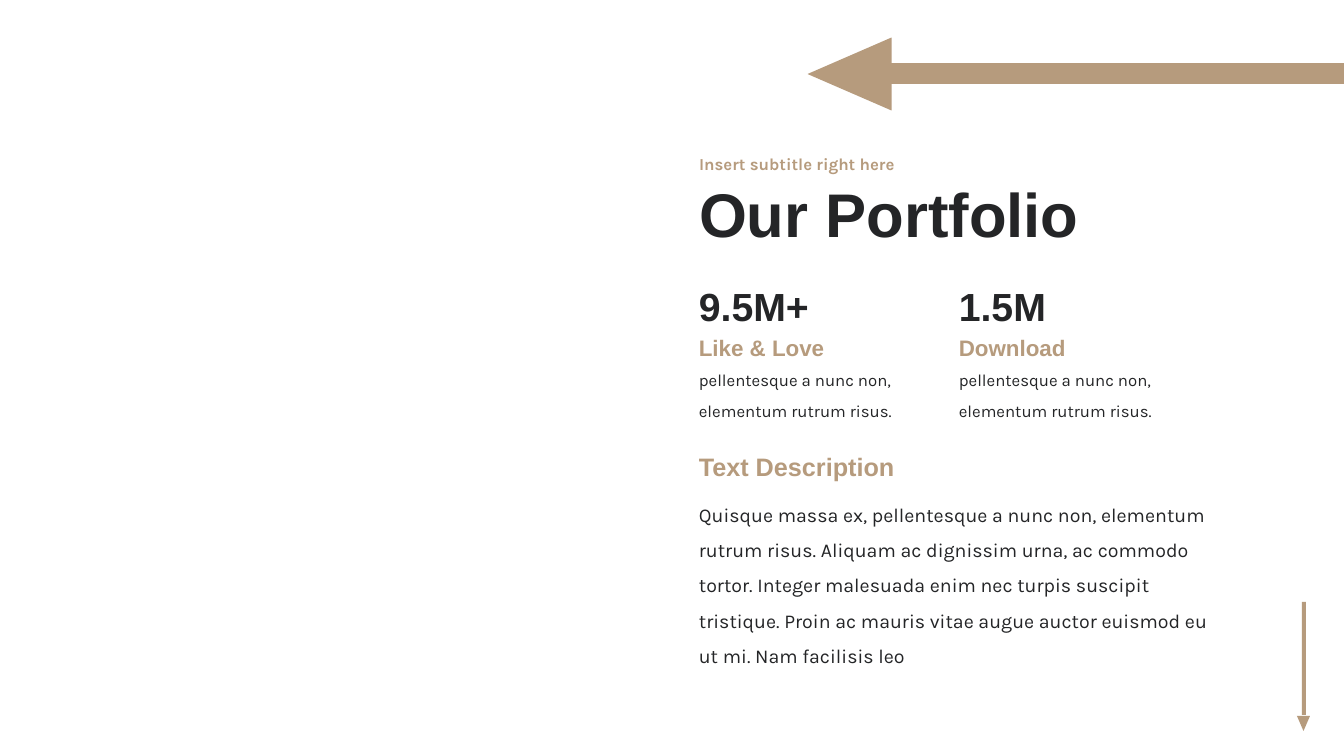
import pptx
import pptx.dml.color
import pptx.enum.shapes
import pptx.enum.text
import pptx.util

SHAPES = pptx.enum.shapes.MSO_SHAPE
ANCHOR = pptx.enum.text.MSO_ANCHOR
AUTO_SIZE = pptx.enum.text.MSO_AUTO_SIZE
TAN = pptx.dml.color.RGBColor(0xB6, 0x9B, 0x7D)
INK = pptx.dml.color.RGBColor(0x24, 0x25, 0x27)
HEADING_FONT, BODY_FONT = "Arial", "Karla"

TITLE = "Our Portfolio"
SUBTITLE = "Insert subtitle right here"
STATS = [
    ("9.5M+", "Like & Love", "pellentesque a nunc non, elementum rutrum risus."),
    ("1.5M", "Download", "pellentesque a nunc non, elementum rutrum risus."),
]
DESCRIPTION_HEADING = "Text Description"
DESCRIPTION = (
    "Quisque massa ex, pellentesque a nunc non, elementum rutrum risus. "
    "Aliquam ac dignissim urna, ac commodo tortor. Integer malesuada enim nec "
    "turpis suscipit tristique. Proin ac mauris vitae augue auctor euismod eu "
    "ut mi. Nam facilisis leo"
)
# Arrow parts: preset, (left, top, width, height) in px, rotation
ARROW_PARTS = [
    (SHAPES.RECTANGLE, (1302, 602, 4, 113), 0),
    (SHAPES.ISOSCELES_TRIANGLE, (1297, 716, 13, 15), 180),
    (SHAPES.RECTANGLE, (891, 63, 525, 21), 0),
    (SHAPES.ISOSCELES_TRIANGLE, (813, 32, 73, 84), 270),
]

LEFT = 689
STAT_STEP = 260


def px(length):
    return pptx.util.Emu(round(length * 914400 / 100.8))


def write(shape, text, size, font, color, bold=False, spacing=1.0):
    frame = shape.text_frame
    frame.text = text
    frame.word_wrap = True
    paragraph = frame.paragraphs[0]
    paragraph.alignment = pptx.enum.text.PP_ALIGN.LEFT
    paragraph.line_spacing = spacing
    paragraph.space_before = pptx.util.Pt(0)
    run_font = paragraph.runs[0].font
    run_font.size = pptx.util.Pt(size)
    run_font.name = font
    run_font.bold = bold
    run_font.color.rgb = color


def add_text(box, *style, **options):
    label = slide.shapes.add_textbox(*map(px, box))
    write(label, *style, **options)
    label.text_frame.auto_size = AUTO_SIZE.SHAPE_TO_FIT_TEXT


def fill_placeholder(placeholder, box, *style):
    placeholder.left, placeholder.top, placeholder.width, placeholder.height = map(px, box)
    write(placeholder, *style, bold=True, spacing=0.9)
    placeholder.text_frame.vertical_anchor = ANCHOR.MIDDLE
    placeholder.text_frame.auto_size = AUTO_SIZE.NONE


presentation = pptx.Presentation()
presentation.slide_width, presentation.slide_height = px(1344), px(756)
slide = presentation.slides.add_slide(presentation.slide_layouts[0])

fill_placeholder(slide.shapes.title, (LEFT, 166, 756, 104), TITLE, 44, HEADING_FONT, INK)
fill_placeholder(slide.placeholders[1], (LEFT, 146, 756, 38), SUBTITLE, 12, BODY_FONT, TAN)

for column, (figure, label, note) in enumerate(STATS):
    left = LEFT + column * STAT_STEP
    add_text((left, 277, 202, 57), figure, 28, HEADING_FONT, INK, bold=True)
    add_text((left, 329, 202, 37), label, 16, HEADING_FONT, TAN, bold=True)
    add_text((left, 355, 255, 68), note, 12, BODY_FONT, INK, spacing=1.5)

add_text((LEFT, 446, 294, 40), DESCRIPTION_HEADING, 18, HEADING_FONT, TAN, bold=True)
add_text((LEFT, 486, 537, 149), DESCRIPTION, 14, BODY_FONT, INK, spacing=1.5)

for preset, box, rotation in ARROW_PARTS:
    part = slide.shapes.add_shape(preset, *map(px, box))
    part.rotation = rotation
    part.shadow.inherit = False
    part.fill.solid()
    part.fill.fore_color.rgb = TAN
    part.line.fill.background()

presentation.save("out.pptx")
